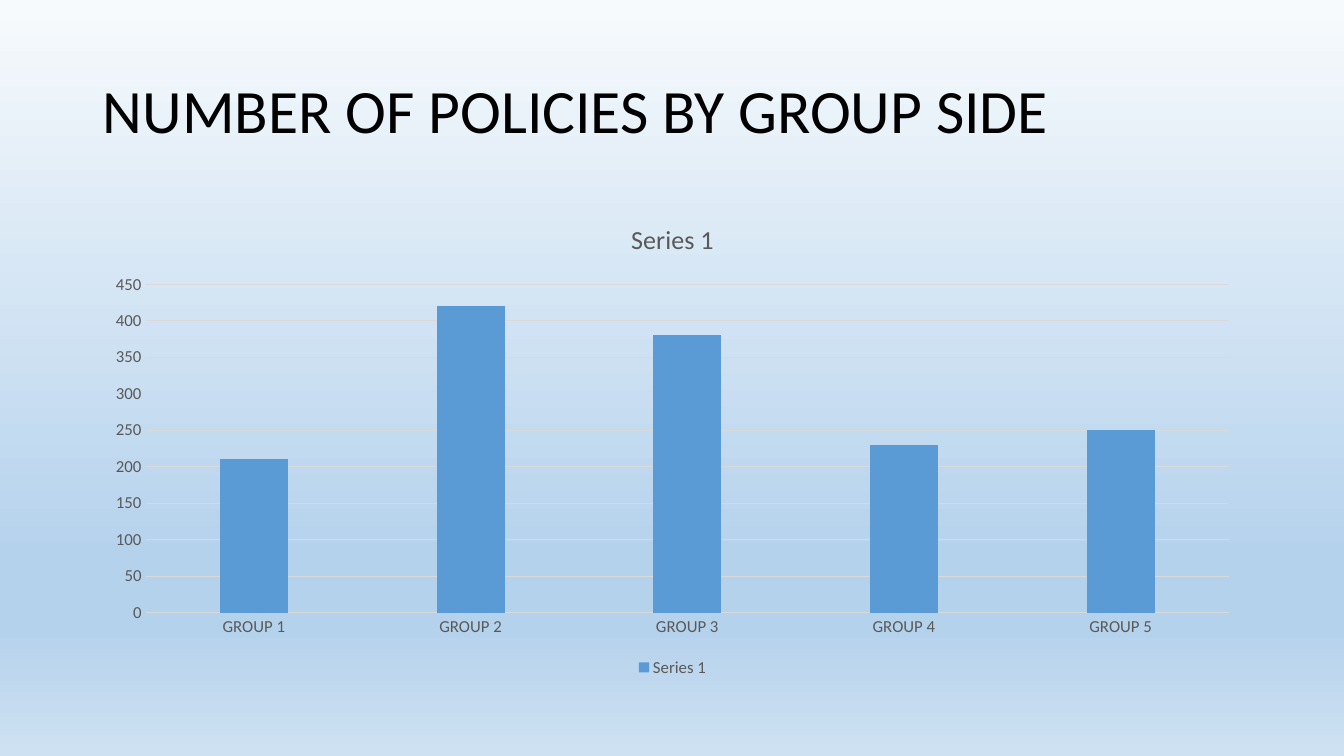
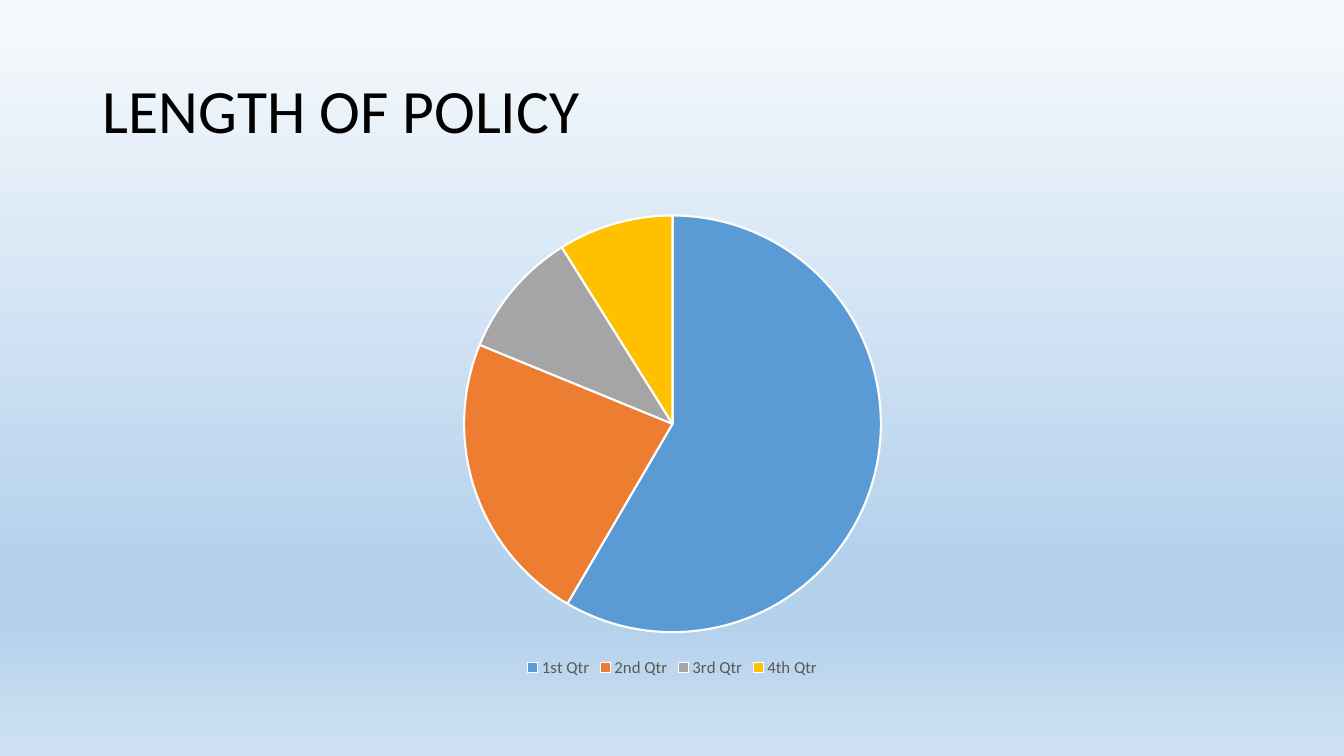
import pptx
import pptx.chart.data
import pptx.dml.color
import pptx.enum.chart
import pptx.enum.text
import pptx.oxml
import pptx.oxml.ns
import pptx.util

Inches = pptx.util.Inches
Pt = pptx.util.Pt
KIND = pptx.enum.chart.XL_CHART_TYPE
TICK = pptx.enum.chart.XL_TICK_MARK
FONT = "Calibri"
GRAY = "595959"
RULE = "D9D9D9"
HUES = ["5B9BD5", "ED7D31", "A5A5A5", "FFC000"]
STOPS = [(0, "F7FAFD"), (74, "B5D2EC"), (83, "B5D2EC"), (100, "CEE1F2")]
PAGES = [
    ("NUMBER OF POLICIES BY GROUP SIDE", KIND.COLUMN_CLUSTERED,
     [f"GROUP {n}" for n in range(1, 6)], [210, 420, 380, 230, 250]),
    ("LENGTH OF POLICY", KIND.PIE,
     ["1st Qtr", "2nd Qtr", "3rd Qtr", "4th Qtr"], [59, 23, 10, 9]),
]


def color(code):
    return pptx.dml.color.RGBColor.from_string(code)


def write(frame, text, size=44, hue="000000", align=None, space=None):
    frame.text = text
    line = frame.paragraphs[0]
    line.alignment = align
    line.line_spacing = space
    font = line.runs[0].font
    font.name = FONT
    font.size = Pt(size)
    font.bold = False
    font.color.rgb = color(hue)


deck = pptx.Presentation()
deck.slide_width = Inches(13.33)
deck.slide_height = Inches(7.5)

master = deck.slide_master
back = master.background.fill
back.gradient()
back.gradient_angle = 270
stops = master.element.find(".//" + pptx.oxml.ns.qn("a:gsLst"))
for stop in list(stops):
    stops.remove(stop)
for place, code in STOPS:
    stops.append(pptx.oxml.parse_xml(
        f'<a:gs {pptx.oxml.ns.nsdecls("a")} pos="{place * 1000}">'
        f'<a:srgbClr val="{code}"/></a:gs>'))

for head, kind, names, counts in PAGES:
    slide = deck.slides.add_slide(deck.slide_layouts[5])
    title = slide.shapes.title
    title.left, title.top = Inches(0.92), Inches(0.4)
    title.width, title.height = Inches(11.5), Inches(1.45)
    frame = title.text_frame
    frame.word_wrap = True
    frame.auto_size = pptx.enum.text.MSO_AUTO_SIZE.NONE
    frame.vertical_anchor = pptx.enum.text.MSO_ANCHOR.MIDDLE
    write(frame, head, align=pptx.enum.text.PP_ALIGN.LEFT, space=0.9)

    data = pptx.chart.data.CategoryChartData()
    data.categories = names
    data.add_series("Series 1", counts)
    chart = slide.shapes.add_chart(
        kind, Inches(0.92), Inches(2), Inches(11.5), Inches(4.76), data).chart
    chart.font.name = FONT
    chart.font.size = Pt(12)
    chart.font.color.rgb = color(GRAY)
    chart.has_legend = True
    chart.legend.position = pptx.enum.chart.XL_LEGEND_POSITION.BOTTOM
    chart.legend.include_in_layout = False
    plot = chart.plots[0]
    series = plot.series[0]

    if kind == KIND.PIE:
        chart.has_title = False
        plot.vary_by_categories = True
        for spot, code in enumerate(HUES):
            form = series.points[spot].format
            form.fill.solid()
            form.fill.fore_color.rgb = color(code)
            form.line.color.rgb = color("FFFFFF")
            form.line.width = Pt(1.5)
    else:
        chart.has_title = True
        write(chart.chart_title.text_frame, "Series 1", size=18.6, hue=GRAY)
        chart.chart_title.include_in_layout = False
        plot.vary_by_categories = False
        plot.gap_width = 219
        plot.overlap = -27
        series.format.fill.solid()
        series.format.fill.fore_color.rgb = color(HUES[0])
        base, scale = chart.category_axis, chart.value_axis
        for axis in (base, scale):
            axis.major_tick_mark = TICK.NONE
            axis.minor_tick_mark = TICK.NONE
        scale.minimum_scale, scale.maximum_scale = 0, 450
        scale.major_unit = 50
        scale.format.line.fill.background()
        for rule in (base.format.line, scale.major_gridlines.format.line):
            rule.color.rgb = color(RULE)
            rule.width = Pt(0.75)

deck.save("out.pptx")
